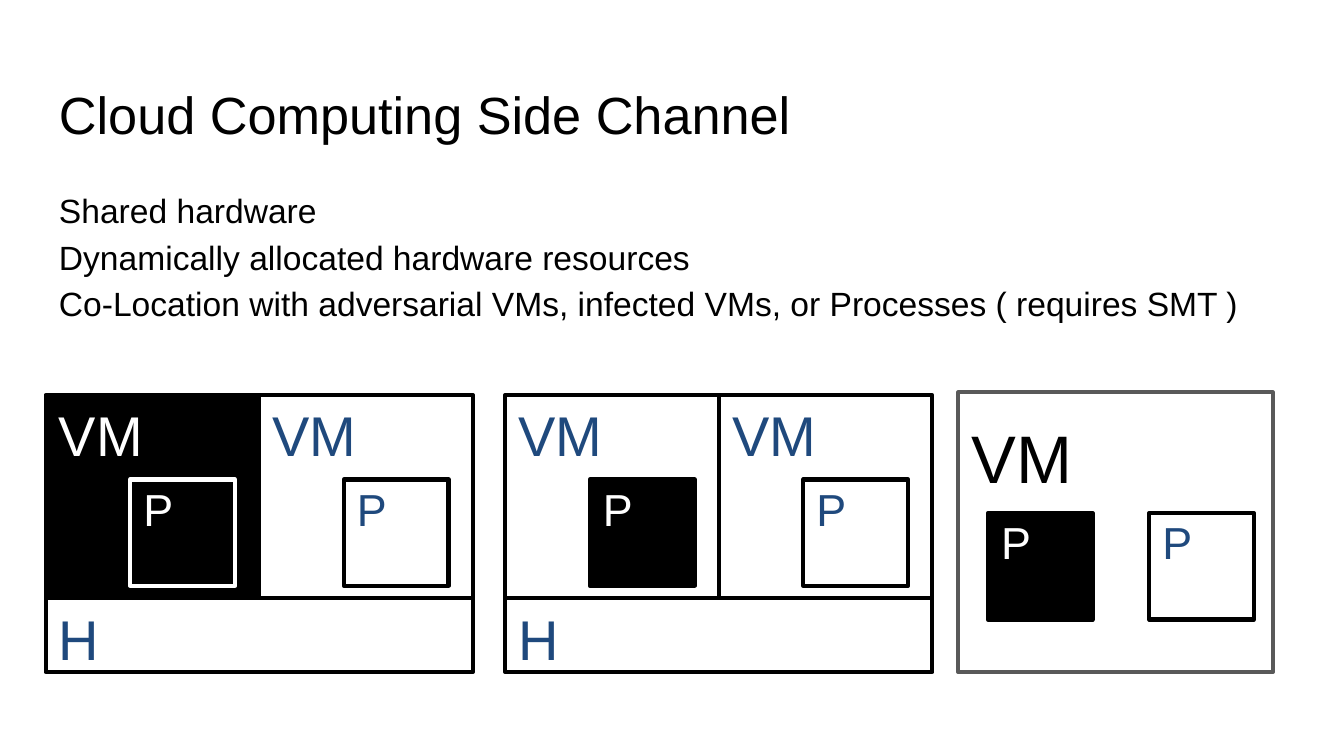
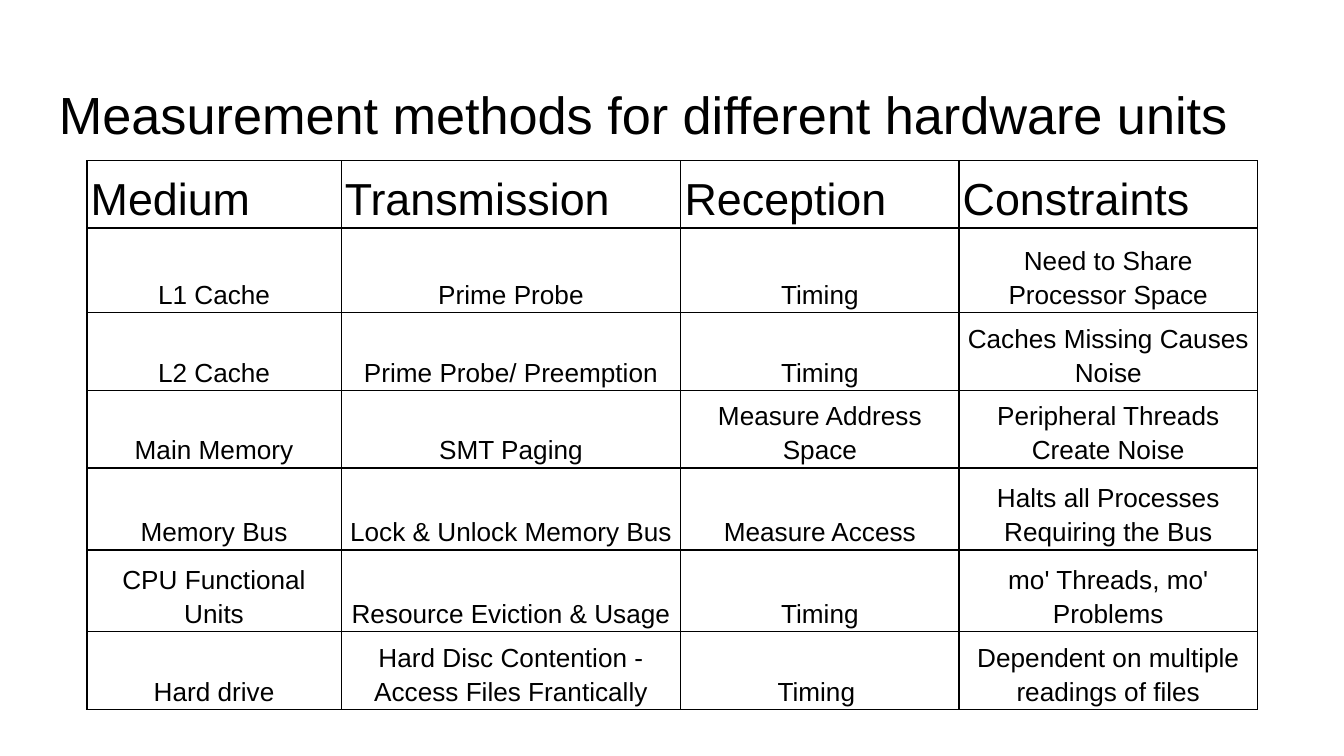
from lxml import etree
from pptx import Presentation
from pptx.dml.color import RGBColor
from pptx.enum.shapes import MSO_SHAPE
from pptx.enum.text import MSO_ANCHOR, PP_ALIGN
from pptx.oxml.ns import qn
from pptx.util import Pt

COLORS = {"black": "000000", "white": "FFFFFF", "navy": "1F497D", "gray": "595959"}
FONT = "Arial"
LEFT, TEXT_WIDTH, INSET = 24.5, 671, 7.2
VM_TOP, VM_WIDTH, VM_HEIGHT = 211.7, 114.4, 108.7
HARDWARE_HEIGHT = 39.6
PROCESS_WIDTH, PROCESS_HEIGHT, PROCESS_OFFSET = 56.2, 56.9, 45.2

POINTS = [
    "Shared hardware",
    "Dynamically allocated hardware resources",
    "Co-Location with adversarial VMs, infected VMs, or Processes ( requires SMT )",
]
COLUMN_WIDTHS = [136.2, 182, 149, 160]
ROW_HEIGHTS = [33.8, 45.4, 41.2, 40.3, 43.9, 43.9, 41.8]
METHODS = [
    ["Medium", "Transmission", "Reception", "Constraints"],
    ["L1 Cache", "Prime Probe", "Timing", "Need to Share Processor Space"],
    ["L2 Cache", "Prime Probe/ Preemption", "Timing", "Caches Missing Causes Noise"],
    ["Main Memory", "SMT Paging", "Measure Address Space",
     "Peripheral Threads Create Noise"],
    ["Memory Bus", "Lock & Unlock Memory Bus", "Measure Access",
     "Halts all Processes Requiring the Bus"],
    ["CPU Functional Units", "Resource Eviction & Usage", "Timing",
     "mo' Threads, mo' Problems"],
    ["Hard drive", "Hard Disc Contention - Access Files Frantically", "Timing ",
     "Dependent on multiple readings of files"],
]


def color(name):
    return RGBColor.from_string(COLORS[name])


def style_paragraph(paragraph, size, font_color="black", align=PP_ALIGN.LEFT, spacing=1.0):
    paragraph.alignment = align
    paragraph.line_spacing = spacing
    paragraph.font.name = FONT
    paragraph.font.size = Pt(size)
    paragraph.font.color.rgb = color(font_color)


def set_insets(target, side, top, bottom):
    """Set the margins of a text frame or a table cell."""
    target.margin_left = target.margin_right = Pt(side)
    target.margin_top, target.margin_bottom = Pt(top), Pt(bottom)


def add_text(page, lines, top, height, size, inset_top, spacing=1.0):
    box = page.shapes.add_textbox(Pt(LEFT), Pt(top), Pt(TEXT_WIDTH), Pt(height))
    frame = box.text_frame
    frame.word_wrap = True
    set_insets(frame, INSET, inset_top, INSET)
    frame.text = "\n".join(lines)
    for paragraph in frame.paragraphs:
        style_paragraph(paragraph, size, spacing=spacing)


def add_page(deck, title):
    page = deck.slides.add_slide(deck.slide_layouts[6])
    add_text(page, [title], 35.3, 45.4, 28, 9)
    return page


def add_block(page, label, left, top, width, height, size, inset_top,
              fill="white", line="black", font_color=None):
    """Draw a labelled rectangle; the label is white on black, else navy."""
    block = page.shapes.add_shape(
        MSO_SHAPE.RECTANGLE, Pt(left), Pt(top), Pt(width), Pt(height))
    block.shadow.inherit = False
    block.fill.solid()
    block.fill.fore_color.rgb = color(fill)
    block.line.color.rgb = color(line)
    block.line.width = Pt(2.25)
    frame = block.text_frame
    frame.vertical_anchor = MSO_ANCHOR.TOP
    set_insets(frame, INSET, inset_top, 0)
    frame.text = label
    font_color = font_color or ("white" if fill == "black" else "navy")
    style_paragraph(frame.paragraphs[0], size, font_color)


def add_process(page, left, top, fill, line="black"):
    add_block(page, "P", left, top, PROCESS_WIDTH, PROCESS_HEIGHT, 24, 1, fill, line)


def add_host(page, left, machines):
    """Draw VMs side by side on shared hardware; machines holds (VM fill, process fill)."""
    for index, (vm_fill, process_fill) in enumerate(machines):
        vm_left = left + index * VM_WIDTH
        add_block(page, "VM", vm_left, VM_TOP, VM_WIDTH, VM_HEIGHT, 30, 3, vm_fill)
        outline = "white" if vm_fill == "black" else "black"
        add_process(page, vm_left + PROCESS_OFFSET, VM_TOP + PROCESS_OFFSET,
                    process_fill, outline)
    add_block(page, "H", left, VM_TOP + VM_HEIGHT, VM_WIDTH * len(machines),
              HARDWARE_HEIGHT, 30, 3.5)


def add_shared_vm(page):
    add_block(page, "VM", 513.4, 210.2, 168.5, 149.8, 36, 13,
              line="gray", font_color="black")
    for left, fill in ((529.2, "black"), (615.6, "white")):
        add_process(page, left, 275, fill)


def add_borders(cell):
    properties = cell._tc.get_or_add_tcPr()
    for index, side in enumerate(("lnL", "lnR", "lnT", "lnB")):
        border = etree.Element(qn("a:" + side), w=str(Pt(0.75)))
        solid = etree.SubElement(border, qn("a:solidFill"))
        etree.SubElement(solid, qn("a:srgbClr"), val=COLORS["black"])
        properties.insert(index, border)


def add_methods_table(page):
    table = page.shapes.add_table(
        len(METHODS), len(COLUMN_WIDTHS), Pt(46.6), Pt(86.1),
        Pt(sum(COLUMN_WIDTHS)), Pt(sum(ROW_HEIGHTS))).table
    table.horz_banding = False
    for column, width in zip(table.columns, COLUMN_WIDTHS):
        column.width = Pt(width)
    for row, height, texts in zip(table.rows, ROW_HEIGHTS, METHODS):
        row.height = Pt(height)
        header = texts is METHODS[0]
        for cell, text in zip(row.cells, texts):
            cell.text = text
            cell.fill.background()
            cell.vertical_anchor = MSO_ANCHOR.BOTTOM
            set_insets(cell, 2, 1.5, 1.5)
            add_borders(cell)
            paragraph = cell.text_frame.paragraphs[0]
            style_paragraph(paragraph, 24 if header else 14,
                            align=PP_ALIGN.LEFT if header else PP_ALIGN.CENTER,
                            spacing=1.15)
            paragraph.font.bold = False


def main():
    deck = Presentation()
    deck.slide_width, deck.slide_height = Pt(720), Pt(405)

    page = add_page(deck, "Cloud Computing Side Channel")
    add_text(page, POINTS, 90.7, 96.5, 18, 8, 1.15)
    add_host(page, LEFT, [("black", "black"), ("white", "white")])
    add_host(page, 270.7, [("white", "black"), ("white", "white")])
    add_shared_vm(page)

    page = add_page(deck, "Measurement methods for different hardware units")
    add_methods_table(page)
    deck.save("out.pptx")


if __name__ == "__main__":
    main()
